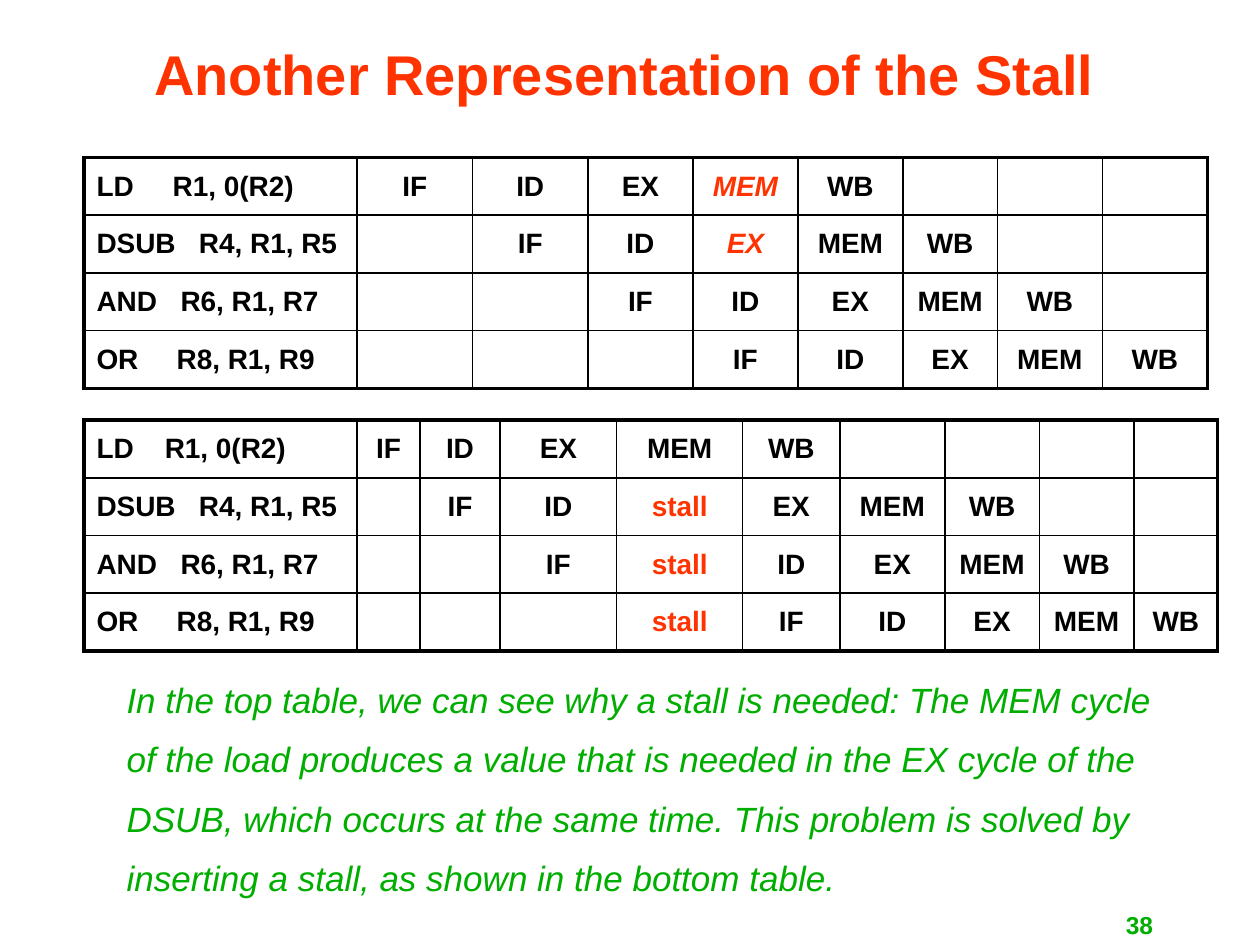
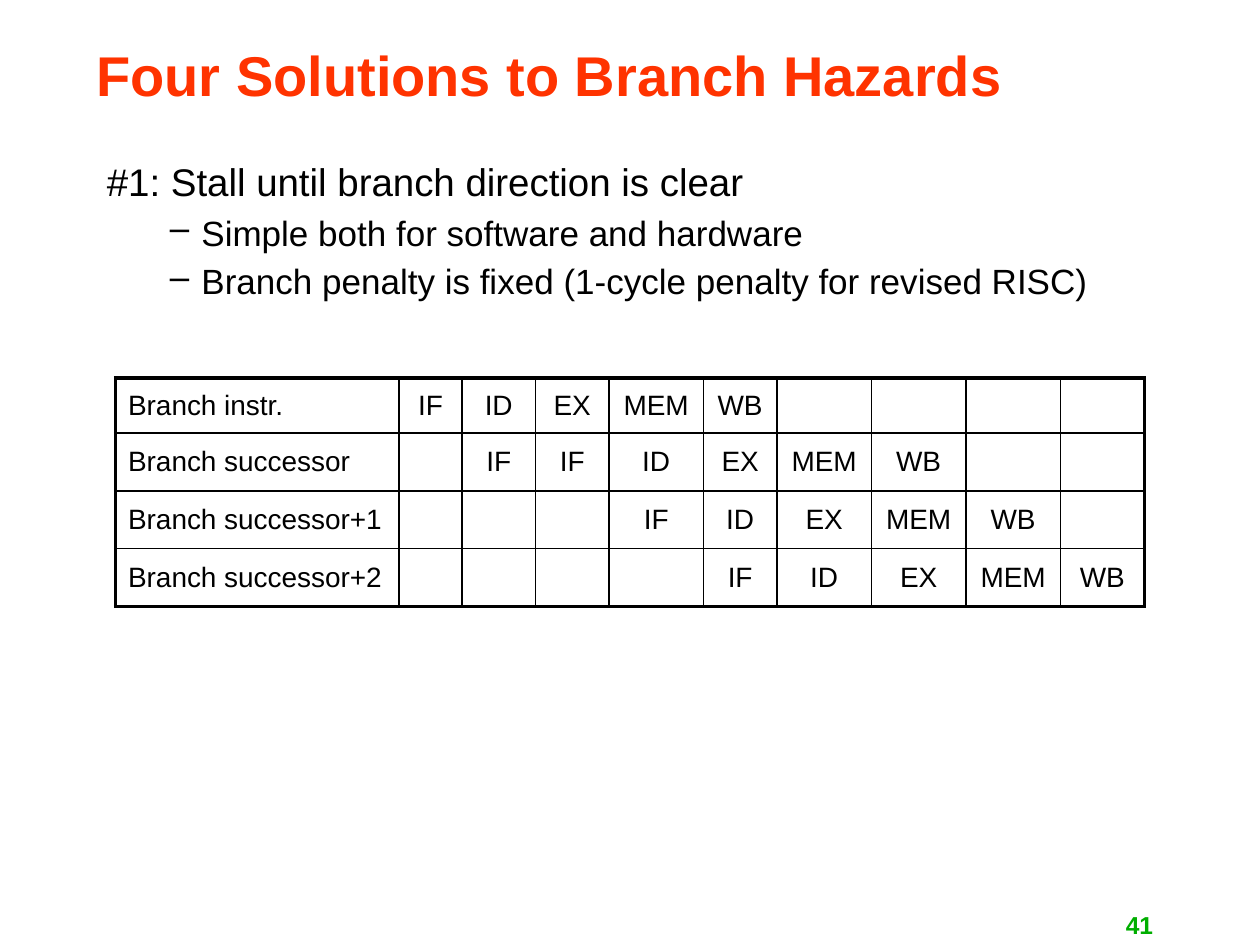
from dataclasses import dataclass

from lxml.etree import SubElement
from pptx import Presentation
from pptx.dml.color import RGBColor
from pptx.enum.text import MSO_ANCHOR as Anchor, PP_ALIGN as Align
from pptx.oxml import parse_xml
from pptx.oxml.ns import nsdecls, qn
from pptx.util import Pt

PX = 9525  # EMU in one px, 96 px to the inch


@dataclass(frozen=True)
class Theme:
    font: str = "Arial"
    red: str = "FF3300"
    green: str = "00AE00"
    black: str = "000000"
    title_size: int = 32
    lead_size: int = 22
    text_size: int = 20
    cell_size: int = 16
    number_size: int = 14
    outer_line: float = 2.25
    inner_line: float = 1


theme = Theme()


def write(frame, lines, size, color, bold=False, italic=False, align=Align.LEFT,
          anchor=Anchor.TOP, gap=0, line_spacing=None):
    """Fill a text frame, one paragraph a line, with gap points between them."""
    frame.word_wrap = True
    frame.vertical_anchor = anchor
    frame.text = "\n".join(lines)
    for index, paragraph in enumerate(frame.paragraphs):
        paragraph.alignment = align
        paragraph.space_before = Pt(gap if index else 0)
        paragraph.line_spacing = line_spacing
        for run in paragraph.runs:
            run.font.name = theme.font
            run.font.size = Pt(size)
            run.font.bold = bold
            run.font.italic = italic
            run.font.color.rgb = RGBColor.from_string(color)


def add_pipeline(slide, left, top, widths, heights, rows, bold=False,
                 red_cells=(), red_italic=False):
    """Draw a timing table; rows hold label, operand tab, first cycle, stages."""
    shape = slide.shapes.add_table(len(rows), len(widths), left * PX, top * PX,
                                   sum(widths) * PX, sum(heights) * PX)
    table = shape.table
    table.first_row = table.horz_banding = False
    for column, width in zip(table.columns, widths):
        column.width = width * PX
    for row, height in zip(table.rows, heights):
        row.height = height * PX

    last_row, last_column = len(rows) - 1, len(widths) - 1
    for r, (label, operand_tab, first_cycle, stages) in enumerate(rows):
        texts = [label] + [""] * last_column
        for c, stage in enumerate(stages.split(), first_cycle):
            texts[c] = stage
        for c, text in enumerate(texts):
            cell = table.cell(r, c)
            cell.fill.background()
            cell.vertical_anchor = Anchor.MIDDLE
            is_red = (r, c) in red_cells
            write(cell.text_frame, [text], theme.cell_size,
                  theme.red if is_red else theme.black, bold,
                  is_red and red_italic, Align.CENTER if c else Align.LEFT,
                  Anchor.MIDDLE)
            if c == 0 and operand_tab:
                properties = cell.text_frame.paragraphs[0]._p.get_or_add_pPr()
                tabs = SubElement(properties, qn("a:tabLst"))
                SubElement(tabs, qn("a:tab"), pos=str(operand_tab * PX), algn="l")
            edges = {"L": c == 0, "R": c == last_column,
                     "T": r == 0, "B": r == last_row}
            for position, (side, is_outer) in enumerate(edges.items()):
                width = Pt(theme.outer_line if is_outer else theme.inner_line)
                cell._tc.get_or_add_tcPr().insert(position, parse_xml(
                    f'<a:ln{side} {nsdecls("a")} w="{width}"><a:solidFill>'
                    f'<a:srgbClr val="{theme.black}"/></a:solidFill></a:ln{side}>'))


presentation = Presentation()
presentation.slide_width = 960 * PX
presentation.slide_height = 720 * PX

# Titles and page numbers
pages = [
    ("Another Representation of the Stall", (72, 16, 808, 80), Align.CENTER, None, "38"),
    ("Four Solutions to Branch Hazards", (64, 0, 874, 120), Align.LEFT, 0.9, "41"),
]
slides = []
for title, title_box, align, line_spacing, number in pages:
    slide = presentation.slides.add_slide(presentation.slide_layouts[6])
    slides.append(slide)
    box = slide.shapes.add_textbox(*(value * PX for value in title_box))
    write(box.text_frame, [title], theme.title_size, theme.red, bold=True,
          align=align, anchor=Anchor.MIDDLE, line_spacing=line_spacing)
    box = slide.shapes.add_textbox(688 * PX, 689 * PX, 200 * PX, 31 * PX)
    write(box.text_frame, [number], theme.number_size, theme.green, bold=True,
          align=Align.RIGHT, anchor=Anchor.MIDDLE)
stall_slide, branch_slide = slides

# Stall: the hazard above, the stalled pipeline below
full_pipeline = "IF ID EX MEM WB"
add_pipeline(
    stall_slide, 64, 120, [208, 88, 88, 80, 80, 80, 72, 80, 80], [44] * 4,
    [("LD\tR1, 0(R2)", 58, 1, full_pipeline),
     ("DSUB\tR4, R1, R5", 78, 2, full_pipeline),
     ("AND\tR6, R1, R7", 64, 3, full_pipeline),
     ("OR\tR8, R1, R9", 61, 4, full_pipeline)],
    bold=True, red_cells={(0, 4), (1, 4)}, red_italic=True)
add_pipeline(
    stall_slide, 64, 320, [208, 48, 61, 89, 96, 74, 80, 72, 72, 64], [44] * 4,
    [("LD\tR1, 0(R2)", 52, 1, full_pipeline),
     ("DSUB\tR4, R1, R5", 78, 2, "IF ID stall EX MEM WB"),
     ("AND\tR6, R1, R7", 64, 3, "IF stall ID EX MEM WB"),
     ("OR\tR8, R1, R9", 61, 4, "stall " + full_pipeline)],
    bold=True, red_cells={(1, 4), (2, 4), (3, 4)})

explanation = stall_slide.shapes.add_textbox(87 * PX, 512 * PX, 817 * PX, 176 * PX)
write(explanation.text_frame, [
    "In the top table, we can see why a stall is needed: The MEM cycle",
    "of the load produces a value that is needed in the EX cycle of the",
    "DSUB, which occurs at the same time. This problem is solved by",
    "inserting a stall, as shown in the bottom table.",
], theme.text_size, theme.green, italic=True, gap=10)

# Branch hazards: first solution and its timing
solution = branch_slide.shapes.add_textbox(72 * PX, 120 * PX, 840 * PX, 120 * PX)
write(solution.text_frame, [
    "#1: Stall until branch direction is clear",
    "Simple both for software and hardware",
    "Branch penalty is fixed (1-cycle penalty for revised RISC)",
], theme.text_size, theme.black, gap=6, line_spacing=0.9)
heading, *points = solution.text_frame.paragraphs
heading.runs[0].font.size = Pt(theme.lead_size)
for point in points:
    point.level = 1
    properties = point._p.get_or_add_pPr()
    properties.set("marL", str(72 * PX))
    properties.set("indent", str(-24 * PX))
    SubElement(properties, qn("a:buChar"), char="–")

add_pipeline(
    branch_slide, 88, 288, [216, 48, 56, 56, 72, 56, 72, 72, 72, 64], [42, 44, 44, 44],
    [("Branch instr.", 0, 1, full_pipeline),
     ("Branch successor", 0, 2, "IF " + full_pipeline),
     ("Branch successor+1", 0, 4, full_pipeline),
     ("Branch successor+2", 0, 5, full_pipeline)])

presentation.save("out.pptx")
